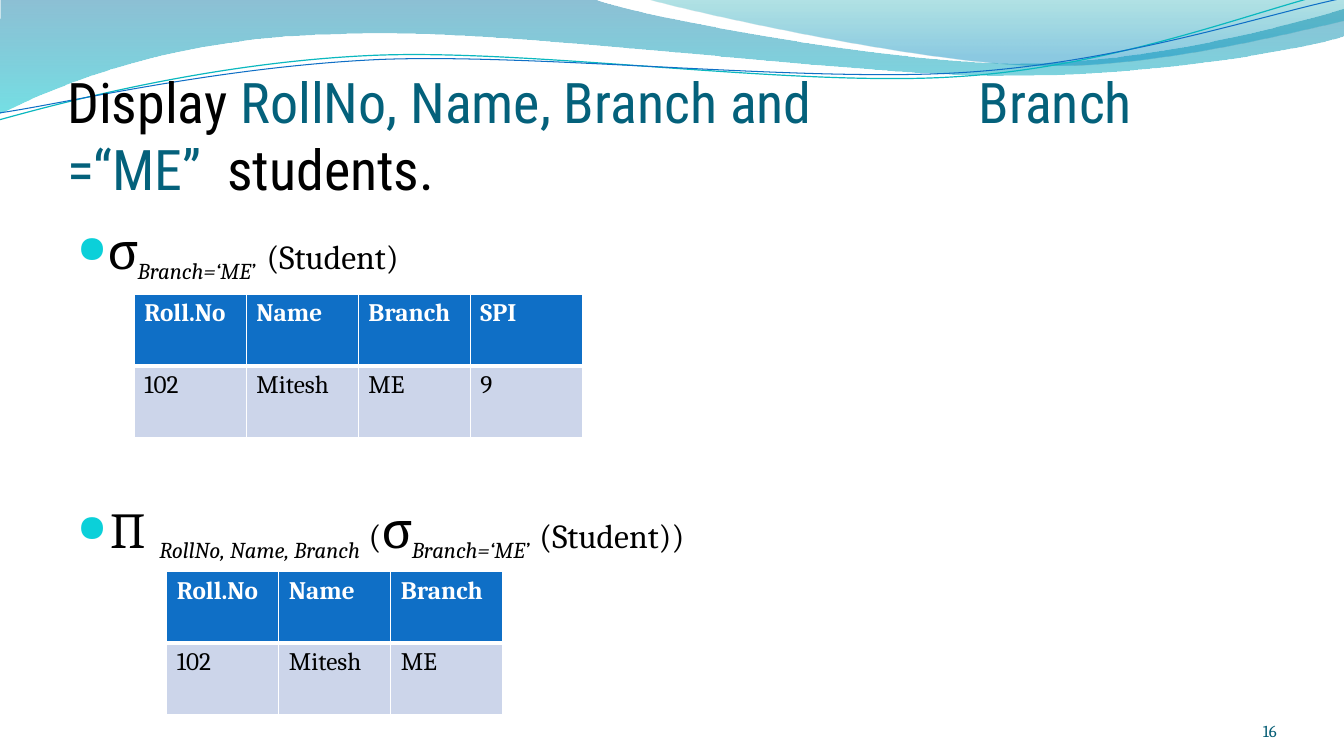
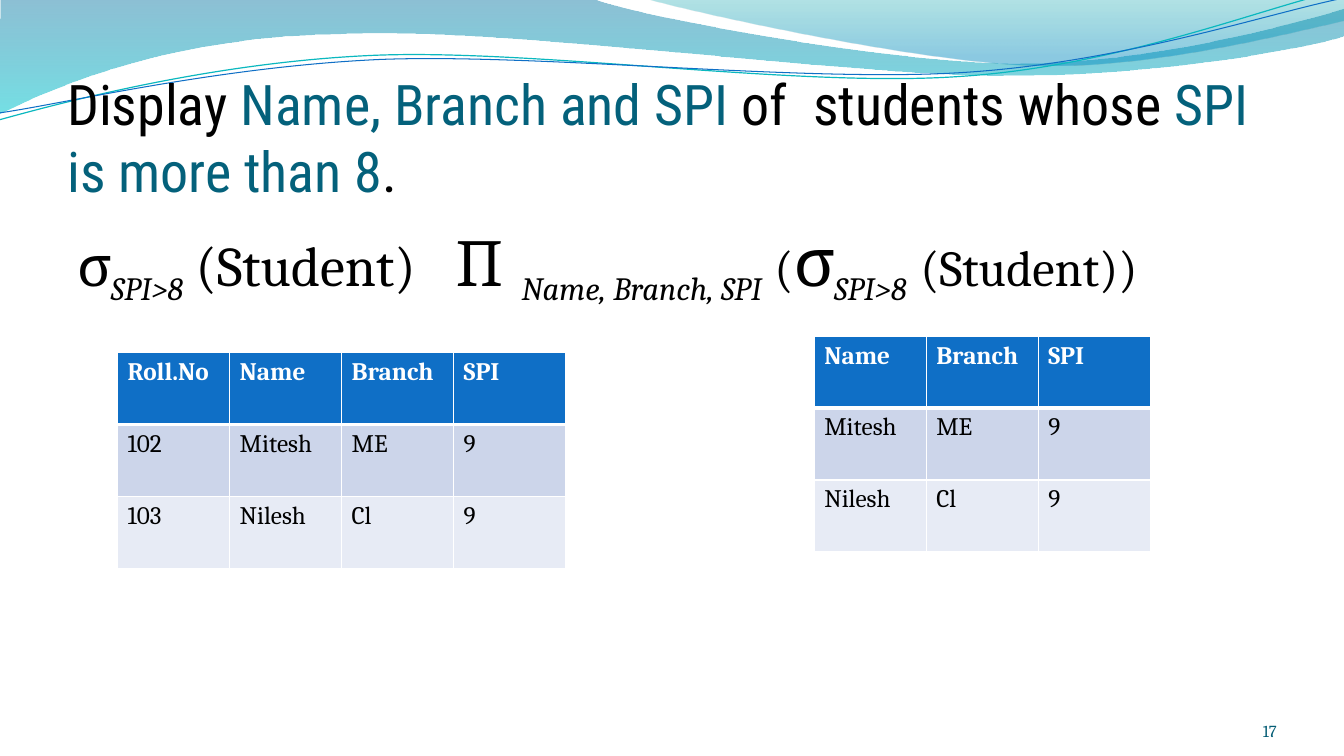
"""Build two relational algebra slides with a shared wave header."""
import math
from dataclasses import dataclass
from typing import Optional

from lxml import etree
from pptx import Presentation
from pptx import util as u
from pptx.dml.color import RGBColor
from pptx.enum import text as t
from pptx.oxml.ns import qn

WIDE, HIGH = 13.33, 7.5
COL, ROW = WIDE / 12, HIGH / 12
SERIF, SANS = "Cambria", "Roboto Condensed"
BLACK, WHITE, TEAL, PAGE = "000000", "FFFFFF", "04617B", "045D75"
HEAD, BULLET = "0F6FC6", "0BD0D9"
STRIPES = ("CCD5EA", "E7EBF5")
LINE, TILT = 1.14, 2.7


@dataclass(frozen=True)
class Stop:
    """A gradient stop; place is a share, alpha a percentage."""
    place: float
    color: str
    alpha: int


@dataclass(frozen=True)
class Wave:
    """An outline in inches: pairs are corners, sixes are Bezier curves."""
    steps: tuple
    stops: tuple = ()
    line: str = ""
    width: float = 0
    hub: Optional[tuple] = None


@dataclass(frozen=True)
class Run:
    """A stretch of text with its own look."""
    text: str
    size: Optional[int] = None
    color: Optional[str] = None
    sub: bool = False


@dataclass(frozen=True)
class Para:
    """A paragraph; tab in inches, before in points."""
    runs: tuple
    before: float = 0
    bullet: bool = False
    tab: float = 0


@dataclass(frozen=True)
class Grid:
    """A table placed in grid columns and rows."""
    left: float
    top: float
    rows: tuple


@dataclass(frozen=True)
class Page:
    """All that differs between slides."""
    number: str
    top: float
    title: Para
    body: tuple
    grids: tuple


WAVES = (
    Wave(((0, 0), (5.87, -0.01),
          (6.34, 0.17, 8.84, 0.63, 10.11, 0.63),
          (11.37, 0.63, 12.77, 0.26, 13.33, 0.09), (13.34, 0.36),
          (13.11, 0.44, 11.59, 0.76, 9.94, 0.75),
          (8.29, 0.75, 5.09, 0.28, 3.43, 0.34),
          (1.72, 0.36, 0.61, 0.83, -0.01, 1.13), (0, 0)),
         (Stop(0, "0074A1", 45), Stop(1, "00C6CF", 55))),
    Wave(((6.39, -0.01),
          (6.79, 0.11, 9.09, 0.62, 10.25, 0.65),
          (11.4, 0.69, 12.82, 0.32, 13.33, 0.21), (13.33, 0), (6.39, -0.01)),
         (Stop(0, "00A1A9", 30), Stop(0.8, "008BBF", 45))),
    Wave(((-0.01, 1.19),
          (0.64, 1.01, 2.11, 0.62, 3.69, 0.55),
          (5.27, 0.48, 7.89, 0.87, 9.5, 0.76),
          (11.1, 0.66, 12.51, 0.08, 13.31, -0.1)),
         line="0AB8BF", width=0.85, hub=(6.65, 0.57)),
    Wave(((0, 1.12),
          (0.63, 1.03, 2.18, 0.66, 3.78, 0.59),
          (5.37, 0.53, 7.96, 0.82, 9.55, 0.72),
          (11.14, 0.62, 12.55, 0.14, 13.33, -0.02)),
         line=HEAD, width=0.75, hub=(6.67, 0.59)),
)

MITESH = ("102", "Mitesh", "ME", "9")
NILESH = ("103", "Nilesh", "Cl", "9")
FIELDS = ("Roll.No", "Name", "Branch", "SPI")

PAGES = (
    Page("16", 1.2,
         Para((Run("Display ", color=BLACK),
               Run("RollNo, Name, Branch and\tBranch =“ME”  ", color=TEAL),
               Run("students.", color=BLACK)), tab=9.04),
         (Para((Run("σ", 36), Run("Branch=‘ME’", 28, sub=True),
                Run(" ", 36), Run("(Student)", 24)), 6.5, True),
          Para((Run("∏ ", 36), Run("RollNo, Name, Branch", 28, sub=True),
                Run(" ", 28), Run("(", 24), Run("σ", 36),
                Run("Branch=‘ME’", 28, sub=True),
                Run(" ", 32), Run("(Student))", 24)), 153, True)),
         (Grid(1.2, 4.67, (FIELDS, MITESH)),
          Grid(1.49, 9.07, (FIELDS[:3], MITESH[:3])))),
    Page("17", 1.23,
         Para((Run("Display ", color=BLACK),
               Run("Name, Branch and SPI ", color=TEAL),
               Run("of  students whose ", color=BLACK),
               Run("SPI is more than 8", color=TEAL),
               Run(".", color=BLACK))),
         (Para((Run("σ", 40), Run("SPI>8", 40, sub=True),
                Run(" (Student)\t", 40), Run("∏ ", 48),
                Run("Name, Branch, SPI", 40, sub=True), Run(" ", 40),
                Run("(", 36), Run("σ", 48), Run("SPI>8", 40, sub=True),
                Run(" ", 44), Run("(Student))", 36)), 9, tab=3.72),),
         (Grid(1.05, 5.6, (FIELDS, MITESH, NILESH)),
          Grid(7.27, 5.34, (FIELDS[1:], MITESH[1:], NILESH[1:])))),
)


def paint(hue: str) -> RGBColor:
    """Turn a hex string into a colour."""
    return RGBColor.from_string(hue)


def area(left: float, top: float, wide: float, high: float) -> tuple:
    """Turn grid columns and rows into lengths."""
    return (u.Inches(left * COL), u.Inches(top * ROW),
            u.Inches(wide * COL), u.Inches(high * ROW))


def node(parent, tag: str, **attrs: str):
    """Append a drawing element."""
    return etree.SubElement(parent, qn(f"a:{tag}"), attrs)


def level(x: float, y: float, hub: Optional[tuple]) -> tuple:
    """Give a point as a length pair, with the tilt about the hub undone."""
    if hub:
        cos, sin = math.cos(math.radians(TILT)), math.sin(math.radians(TILT))
        dx, dy = x - hub[0], y - hub[1]
        x, y = hub[0] + dx * cos - dy * sin, hub[1] + dx * sin + dy * cos
    return u.Inches(x), u.Inches(y)


def bend(shape, steps: tuple) -> None:
    """Join each three segments of a curve into one Bezier."""
    lines = iter(list(shape.element.iter(qn("a:lnTo"))))
    for step in steps[1:]:
        first = next(lines)
        outline = first.getparent()
        if len(step) == 2:
            outline.append(first)
            continue
        curve = node(outline, "cubicBezTo")
        for line in (first, next(lines), next(lines)):
            curve.append(line[0])
            outline.remove(line)
    for end in list(shape.element.iter(qn("a:close"))):
        end.getparent().append(end)


def sweep(slide, wave: Wave):
    """Draw one wave."""
    points = [level(*step[k:k + 2], wave.hub)
              for step in wave.steps for k in range(0, len(step), 2)]
    pen = slide.shapes.build_freeform(*points[0])
    pen.add_line_segments(points[1:], close=bool(wave.stops))
    shape = pen.convert_to_shape()
    bend(shape, wave.steps)
    shape.shadow.inherit = False
    if wave.hub:
        shape.rotation = 360 - TILT
    if not wave.stops:
        shape.fill.background()
        shape.line.color.rgb = paint(wave.line)
        shape.line.width = u.Pt(wave.width)
        return shape
    shape.line.fill.background()
    shape.fill.gradient()
    shape.fill.gradient_angle = 270
    for mark, stop in zip(shape.fill.gradient_stops, wave.stops):
        mark.position = stop.place
        mark.color.rgb = paint(stop.color)
    for hue, stop in zip(shape.element.iter(qn("a:srgbClr")), wave.stops):
        node(hue, "alpha", val=str(stop.alpha * 1000))
    return shape


def share(slide, layout) -> None:
    """Put the waves on the layout, behind its title."""
    for spare in list(layout.placeholders)[1:]:
        spare.element.getparent().remove(spare.element)
    waves = [sweep(slide, wave) for wave in WAVES]
    for spot, wave in enumerate(waves, 2):
        layout.shapes.element.insert(spot, wave.element)


def write(para, data: Para, face: str, size: Optional[int] = None,
          hue: Optional[str] = None) -> None:
    """Fill a paragraph with styled runs."""
    para.alignment = t.PP_ALIGN.LEFT
    para.space_before = u.Pt(data.before)
    props = para._p.get_or_add_pPr()
    if data.bullet:
        props.set("marL", str(u.Inches(0.3)))
        props.set("indent", str(u.Inches(-0.3)))
        node(node(props, "buClr"), "srgbClr", val=BULLET)
        node(props, "buSzPct", val="75000")
        node(props, "buChar", char="●")
    if data.tab:
        node(node(props, "tabLst"), "tab", pos=str(u.Inches(data.tab)), algn="l")
    para.font.name = face
    if size:
        para.font.size = u.Pt(size)
    if hue:
        para.font.color.rgb = paint(hue)
    for item in data.runs:
        run = para.add_run()
        run.text = item.text
        if item.size:
            run.font.size = u.Pt(item.size)
        if item.color:
            run.font.color.rgb = paint(item.color)
        if item.sub:
            run.font.italic = True
            run.font._element.set("baseline", "-25000")


def frame(shape, base: bool = False):
    """Wrap a text frame, or sit its text at the bottom edge."""
    box = shape.text_frame
    box.word_wrap = True
    box.auto_size = t.MSO_AUTO_SIZE.NONE
    if base:
        box.vertical_anchor = t.MSO_ANCHOR.BOTTOM
        box.margin_left = box.margin_right = box.margin_bottom = 0
    return box


def edge(cell, row: int) -> None:
    """Give a cell white borders, thick under the header."""
    props = cell._tc.get_or_add_tcPr()
    thick = {0: "lnB", 1: "lnT"}.get(row)
    for side in ("lnL", "lnR", "lnT", "lnB"):
        rule = node(props, side, w=str(u.Pt(3 if side == thick else 1)))
        node(node(rule, "solidFill"), "srgbClr", val=WHITE)


def tabulate(slide, grid: Grid) -> None:
    """Draw one table with a header and striped rows."""
    high, wide = len(grid.rows), len(grid.rows[0])
    table = slide.shapes.add_table(
        high, wide, *area(grid.left, grid.top, wide, high * LINE)).table
    for r, row in enumerate(grid.rows):
        for c, word in enumerate(row):
            cell = table.cell(r, c)
            edge(cell, r)
            cell.fill.solid()
            cell.fill.fore_color.rgb = paint(STRIPES[(r - 1) % 2] if r else HEAD)
            para = cell.text_frame.paragraphs[0]
            write(para, Para((Run(word),)), SERIF, 18, BLACK if r else WHITE)
            para.font.bold = r == 0


def build(slide, page: Page) -> None:
    """Lay out one slide."""
    title = slide.shapes.title
    title.left, title.top, title.width, title.height = area(0.6, page.top, 10.8, 2)
    box = frame(title, True)
    box.margin_top = u.Inches(0.05)
    write(box.paragraphs[0], page.title, SANS, 40)
    body = frame(slide.shapes.add_textbox(*area(0.6, 3.4, 10.8, 7.68)))
    for k, data in enumerate(page.body):
        para = body.add_paragraph() if k else body.paragraphs[0]
        write(para, data, SERIF, hue=BLACK)
    foot = frame(slide.shapes.add_textbox(*area(10.4, 11.12, 1, 0.64)), True)
    foot.margin_top = 0
    write(foot.paragraphs[0], Para((Run(page.number),)), SERIF, 12, PAGE)
    foot.paragraphs[0].alignment = t.PP_ALIGN.RIGHT
    for grid in page.grids:
        tabulate(slide, grid)


deck = Presentation()
deck.slide_width, deck.slide_height = u.Inches(WIDE), u.Inches(HIGH)
cover = deck.slide_layouts[5]
slides = [deck.slides.add_slide(cover) for _ in PAGES]
share(slides[0], cover)
for leaf, content in zip(slides, PAGES):
    build(leaf, content)
deck.save("out.pptx")
